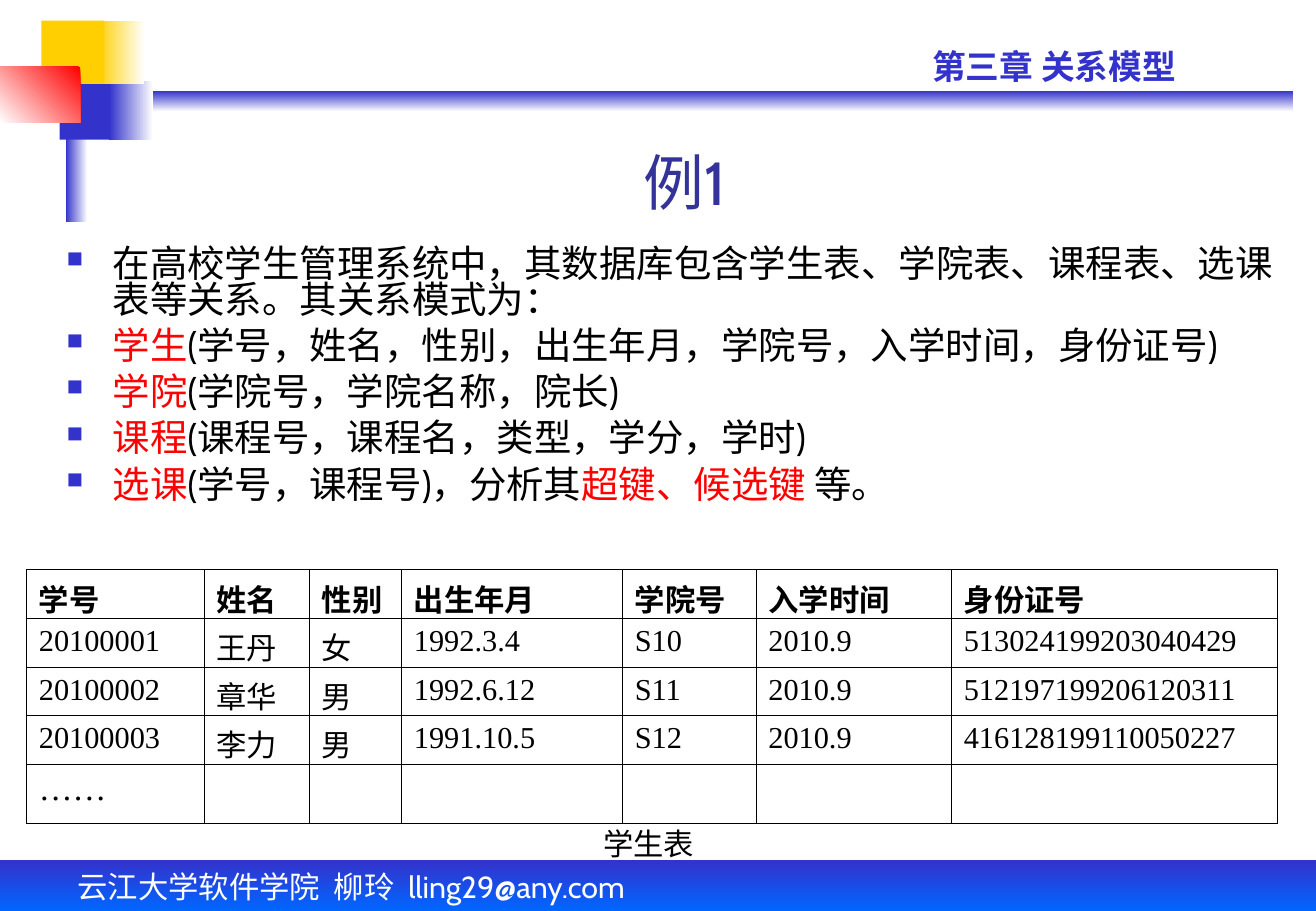
import dataclasses

import lxml.etree
import pptx
import pptx.dml.color
import pptx.enum.shapes
import pptx.enum.text
import pptx.oxml.ns
import pptx.util

Inches = pptx.util.Inches
Pt = pptx.util.Pt
Align = pptx.enum.text.PP_ALIGN
Anchor = pptx.enum.text.MSO_ANCHOR
qn = pptx.oxml.ns.qn

BLUE, GOLD, RED = "3333CC", "FFCF01", "FF0000"
WHITE, BLACK, NAVY = "FFFFFF", "000000", "333399"
CABIN, NOTO, TIMES = "Cabin", "Noto Sans CJK SC", "Times New Roman"


@dataclasses.dataclass
class Box:
    left: float
    top: float
    width: float
    height: float
    start: str
    end: str = ""
    angle: int = 0


@dataclasses.dataclass
class Label:
    left: float
    top: float
    width: float
    height: float
    text: str
    size: float
    font: str
    tint: str
    bold: bool = False
    before: float = 0
    wrap: bool = True
    anchor: Anchor = Anchor.TOP


@dataclasses.dataclass
class Part:
    text: str
    tint: str = BLACK


BOXES = [
    Box(0.63, 0.75, 10.02, 0.17, BLUE, WHITE, 90),
    Box(0.9, 0.67, 0.36, 0.48, WHITE, BLUE, 180),
    Box(0, 7.08, 10.84, 0.42, BLUE, "0066FF", 90),
    Box(0.54, 0.58, 0.18, 1.25, WHITE, BLUE, 180),
    Box(0.49, 0.67, 0.41, 0.48, BLUE),
    Box(0.8, 0.17, 0.39, 0.52, WHITE, GOLD, 180),
    Box(0.34, 0.17, 0.52, 0.52, GOLD),
    Box(0, 0.55, 0.66, 0.46, RED, WHITE, 135),
]
LABELS = [
    Label(0.54, 7.1, 6.05, 0.4, "云江大学软件学院  柳玲  lling29@any.com",
          18, CABIN, WHITE, before=11.2),
    Label(7.58, 0.33, 3.07, 0.44, "第三章 关系模型", 20, CABIN, BLUE, bold=True, before=12.5),
    Label(4.87, 6.74, 0.95, 0.4, "学生表", 18, NOTO, BLACK, wrap=False, anchor=Anchor.MIDDLE),
]
POINTS = [
    [Part("在高校学生管理系统中，其数据库包含学生表、学院表、课程表、选课表等关系。其关系模式为：")],
    [Part("学生", RED), Part("(学号，姓名，性别，出生年月，学院号，入学时间，身份证号)")],
    [Part("学院", RED), Part("(学院号，学院名称，院长)")],
    [Part("课程", RED), Part("(课程号，课程名，类型，学分，学时)")],
    [Part("选课", RED), Part("(学号，课程号)，分析其"), Part("超键、候选键", RED), Part(" 等。")],
]
WIDTHS = [1.46, 0.87, 0.76, 1.82, 1.1, 1.61, 2.68]
HEIGHTS = [0.4, 0.4, 0.4, 0.4, 0.49]
ROWS = [
    ["学号", "姓名", "性别", "出生年月", "学院号", "入学时间", "身份证号"],
    ["20100001", "王丹", "女", "1992.3.4", "S10", "2010.9", "513024199203040429"],
    ["20100002", "章华", "男", "1992.6.12", "S11", "2010.9", "512197199206120311"],
    ["20100003", "李力", "男", "1991.10.5", "S12", "2010.9", "416128199110050227"],
    ["……"] + [""] * 6,
]


def rgb(tint: str) -> pptx.dml.color.RGBColor:
    return pptx.dml.color.RGBColor.from_string(tint)


def style(para, size: float, name: str, tint: str = BLACK, bold: bool = False) -> None:
    font = para.font
    font.size, font.name, font.bold = Pt(size), name, bold
    font.color.rgb = rgb(tint)
    base = para._p.pPr.find(qn("a:defRPr"))
    lxml.etree.SubElement(base, qn("a:ea"), typeface=name)


def draw_box(slide, box: Box) -> None:
    shape = slide.shapes.add_shape(
        pptx.enum.shapes.MSO_SHAPE.RECTANGLE,
        Inches(box.left), Inches(box.top), Inches(box.width), Inches(box.height))
    shape.shadow.inherit = False
    shape.line.fill.background()
    if not box.end:
        shape.fill.solid()
        shape.fill.fore_color.rgb = rgb(box.start)
        return
    shape.fill.gradient()
    shape.fill.gradient_angle = 360 - box.angle
    for stop, tint in zip(shape.fill.gradient_stops, (box.start, box.end)):
        stop.color.rgb = rgb(tint)


def draw_label(slide, label: Label) -> None:
    frame = slide.shapes.add_textbox(
        Inches(label.left), Inches(label.top),
        Inches(label.width), Inches(label.height)).text_frame
    frame.word_wrap = label.wrap
    frame.vertical_anchor = label.anchor
    para = frame.paragraphs[0]
    para.text = label.text
    para.space_before = Pt(label.before)
    style(para, label.size, label.font, label.tint, label.bold)


def set_title(slide) -> None:
    title = slide.shapes.title
    title.left, title.top = Inches(1.35), Inches(1.17)
    title.width, title.height = Inches(8.58), Inches(0.67)
    frame = title.text_frame
    frame.text = "例1"
    frame.vertical_anchor = Anchor.BOTTOM
    frame.auto_size = pptx.enum.text.MSO_AUTO_SIZE.NONE
    para = frame.paragraphs[0]
    para.alignment = Align.CENTER
    style(para, 36, CABIN, NAVY)


def add_bullet(para) -> None:
    props = para._p.get_or_add_pPr()
    props.set("marL", str(Inches(0.38)))
    props.set("indent", str(-Inches(0.38)))
    tint = lxml.etree.SubElement(props, qn("a:buClr"))
    lxml.etree.SubElement(tint, qn("a:srgbClr"), val=BLUE)
    lxml.etree.SubElement(props, qn("a:buSzPct"), val="60000")
    lxml.etree.SubElement(props, qn("a:buChar"), char="■")


def draw_points(slide) -> None:
    frame = slide.shapes.add_textbox(
        Inches(0.45), Inches(2), Inches(10.38), Inches(2.62)).text_frame
    frame.word_wrap = True
    for row, parts in enumerate(POINTS):
        para = frame.add_paragraph() if row else frame.paragraphs[0]
        para.line_spacing = 0.8
        para.space_before = Pt(6)
        add_bullet(para)
        style(para, 22.2, CABIN)
        for part in parts:
            run = para.add_run()
            run.text = part.text
            run.font.color.rgb = rgb(part.tint)


def add_edges(cell) -> None:
    props = cell._tc.get_or_add_tcPr()
    for side in ("lnL", "lnR", "lnT", "lnB"):
        line = lxml.etree.SubElement(props, qn(f"a:{side}"), w=str(Pt(0.45)))
        fill = lxml.etree.SubElement(line, qn("a:solidFill"))
        lxml.etree.SubElement(fill, qn("a:srgbClr"), val=BLACK)


def draw_table(slide) -> None:
    table = slide.shapes.add_table(
        len(ROWS), len(WIDTHS), Inches(0.22), Inches(4.69),
        Inches(sum(WIDTHS)), Inches(sum(HEIGHTS))).table
    table.first_row = table.horz_banding = False
    for col, width in zip(table.columns, WIDTHS):
        col.width = Inches(width)
    for row, height in zip(table.rows, HEIGHTS):
        row.height = Inches(height)
    for r, texts in enumerate(ROWS):
        for c, text in enumerate(texts):
            cell = table.cell(r, c)
            add_edges(cell)
            cell.fill.background()
            cell.text = text
            name = NOTO if r == 0 or c in (1, 2) else TIMES
            size = 20 if text == "……" else 18
            style(cell.text_frame.paragraphs[0], size, name, bold=r == 0)


def main() -> None:
    deck = pptx.Presentation()
    deck.slide_width, deck.slide_height = Inches(10.84), Inches(7.5)
    slide = deck.slides.add_slide(deck.slide_layouts[5])
    for box in BOXES:
        draw_box(slide, box)
    for label in LABELS:
        draw_label(slide, label)
    set_title(slide)
    draw_points(slide)
    draw_table(slide)
    deck.save("out.pptx")


if __name__ == "__main__":
    main()
